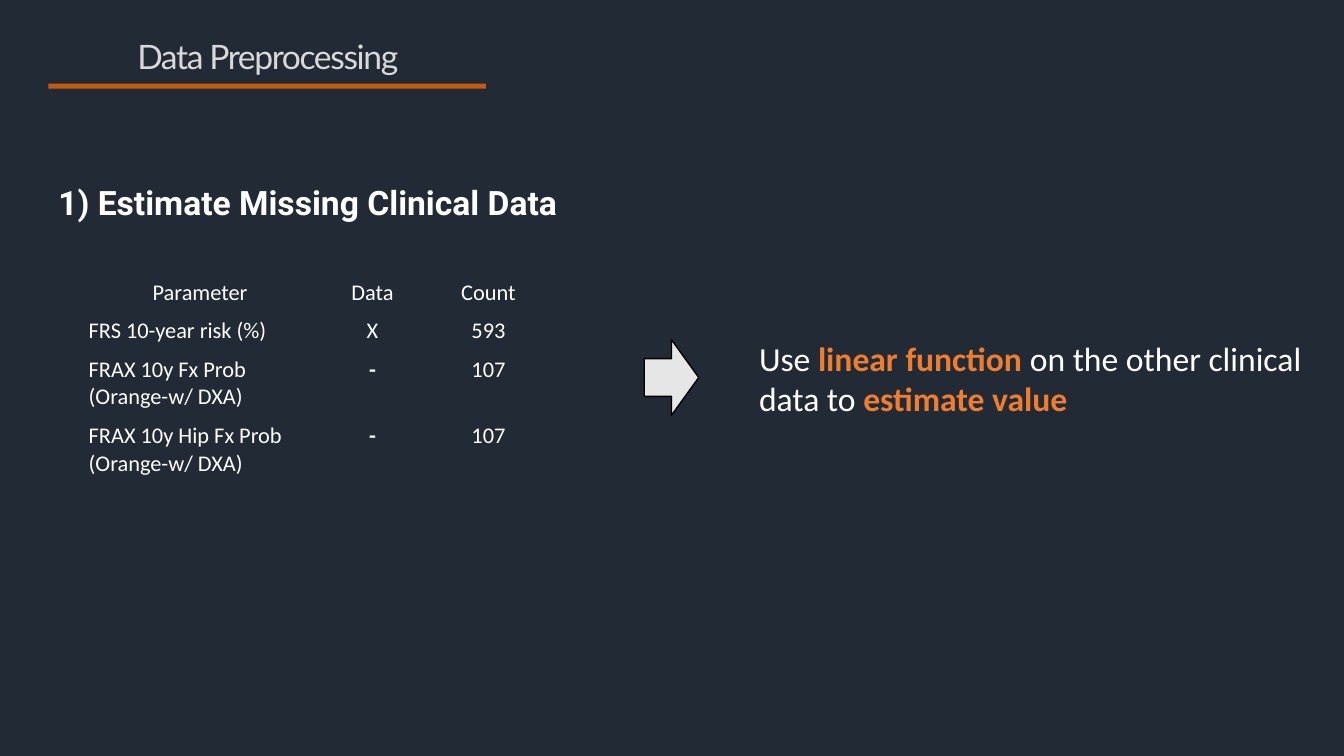
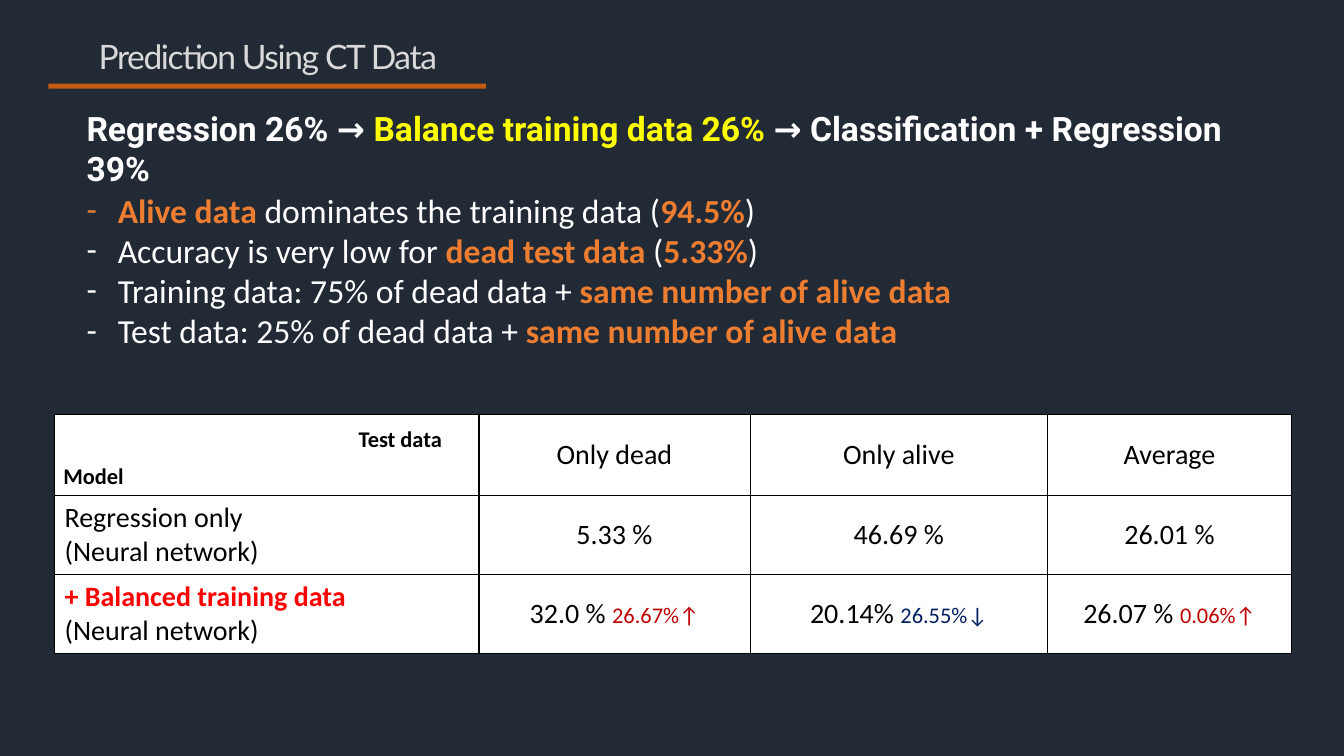
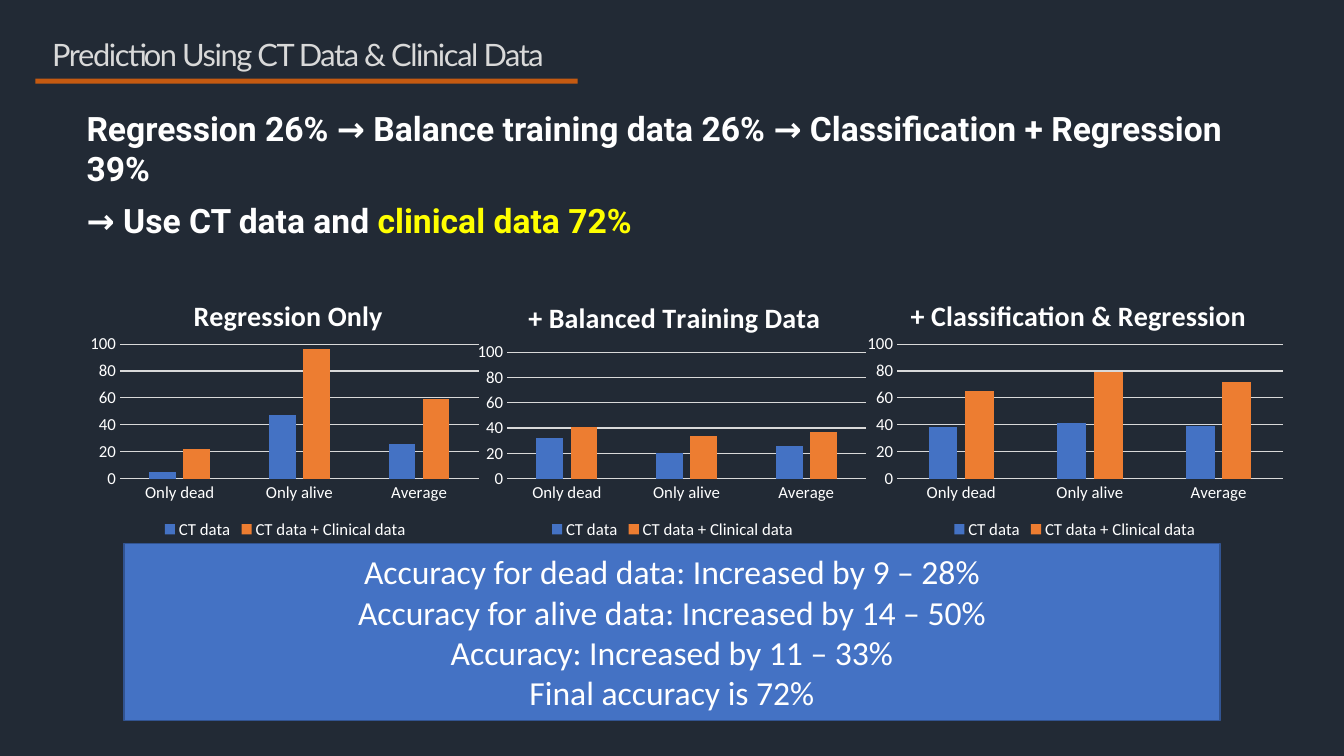
"""Build three slides on data preprocessing and prediction accuracy."""
from dataclasses import dataclass, replace
from typing import Any, Union

from lxml import etree
from pptx import Presentation
from pptx import slide as s
from pptx import util as u
from pptx.chart import data as cd
from pptx.dml.color import RGBColor
from pptx.enum import chart as c
from pptx.enum import shapes, text
from pptx.oxml import ns
from pptx.text import text as t

PX = 9144
WIDTH, HEIGHT = 1333, 750
NAVY = RGBColor(0x22, 0x2A, 0x35)
RUST = RGBColor(0xC5, 0x5A, 0x11)
ORANGE = RGBColor(0xED, 0x7D, 0x31)
BLUE = RGBColor(0x44, 0x72, 0xC4)
BLUE_EDGE = RGBColor(0x32, 0x54, 0x91)
LIGHT = RGBColor(0xD9, 0xD9, 0xD9)
PALE = RGBColor(0xE7, 0xE6, 0xE6)
WHITE = RGBColor(0xFF, 0xFF, 0xFF)
BLACK = RGBColor(0x00, 0x00, 0x00)
YELLOW = RGBColor(0xFF, 0xFF, 0x00)
RED = RGBColor(0xFF, 0x00, 0x00)
RISE = RGBColor(0xC0, 0x00, 0x00)
FALL = RGBColor(0x00, 0x20, 0x60)
LEFT, CENTER = text.PP_ALIGN.LEFT, text.PP_ALIGN.CENTER
TOP, MIDDLE = text.MSO_ANCHOR.TOP, text.MSO_ANCHOR.MIDDLE
NO_TABLE_STYLE = "{2D5ABB26-0587-4C30-8999-92F81FD0307C}"


@dataclass(frozen=True)
class Span:
    text: str
    color: RGBColor | None = None
    bold: bool | None = None
    size: int | None = None


Line = Union[str, tuple[Span, ...]]
Lines = tuple[Line, ...]


@dataclass(frozen=True)
class Style:
    font: str = "Calibri"
    size: int = 24
    color: RGBColor = WHITE
    bold: bool = False
    align: text.PP_ALIGN = LEFT
    anchor: text.MSO_ANCHOR = TOP
    line_spacing: float = 1.0
    tracking: int = 0
    dash_indent: int = 0


@dataclass(frozen=True)
class Box:
    left: int
    top: int
    width: int
    height: int

    def emu(self) -> tuple[int, ...]:
        return tuple(PX * n for n in (self.left, self.top, self.width, self.height))


@dataclass(frozen=True)
class Heading:
    text: str
    box: Box
    band: Box
    size: int = 24


@dataclass(frozen=True)
class Accuracy:
    title: str
    box: Box
    ct: tuple[int, ...]
    combined: tuple[int, ...]
    title_left: float
    title_top: float
    plot_top: float


TITLE = Style("Lato", 24, LIGHT, align=CENTER, anchor=MIDDLE, line_spacing=0.9, tracking=-100)
BODY = Style("Roboto", bold=True, anchor=MIDDLE)
PLAIN = Style()
DASHED = Style(dash_indent=31)
BANNER = Style(align=CENTER, anchor=MIDDLE)
CLINICAL_CELL = Style(size=16)
RESULT_CELL = Style(size=20, color=BLACK, anchor=MIDDLE)
CORNER = Style(size=16, color=BLACK, bold=True)

TITLE_BOX = Box(0, 31, 531, 54)
TITLE_BAND = Box(48, 83, 434, 5)
SUMMARY_BOX = Box(76, 111, 1181, 72)


def apply(target: Any, values: dict[str, Any]) -> None:
    for name, value in values.items():
        setattr(target, name, value)


def accent(words: str) -> Span:
    return Span(words, ORANGE, True)


def write(frame: t.TextFrame, lines: Lines, style: Style) -> None:
    for index, line in enumerate(lines):
        paragraph = frame.add_paragraph() if index else frame.paragraphs[0]
        apply(paragraph, {"alignment": style.align, "line_spacing": style.line_spacing})
        if style.dash_indent:
            properties = paragraph._p.get_or_add_pPr()
            properties.set("marL", str(style.dash_indent * PX))
            properties.set("indent", str(-style.dash_indent * PX))
            etree.SubElement(properties, ns.qn("a:buFont"), typeface=style.font)
            etree.SubElement(properties, ns.qn("a:buChar"), char="-")
        for span in (Span(line),) if isinstance(line, str) else line:
            run = paragraph.add_run()
            run.text = span.text
            apply(run.font, {
                "name": style.font,
                "size": u.Pt(span.size or style.size),
                "bold": style.bold if span.bold is None else span.bold,
            })
            run.font.color.rgb = span.color or style.color
            if style.tracking:
                run.font._element.set("spc", str(style.tracking))


def add_text(slide: s.Slide, box: Box, lines: Lines, style: Style) -> None:
    frame = slide.shapes.add_textbox(*box.emu()).text_frame
    apply(frame, {"word_wrap": True, "vertical_anchor": style.anchor})
    write(frame, lines, style)


def add_block(slide: s.Slide, kind: shapes.MSO_SHAPE, box: Box, fill: RGBColor,
              edge: RGBColor | None = None, lines: Lines = (), style: Style = BANNER) -> None:
    shape = slide.shapes.add_shape(kind, *box.emu())
    shape.shadow.inherit = False
    shape.fill.solid()
    shape.fill.fore_color.rgb = fill
    if edge is None:
        shape.line.fill.background()
    else:
        shape.line.color.rgb = edge
        shape.line.width = u.Pt(1)
    shape.text_frame.vertical_anchor = style.anchor
    write(shape.text_frame, lines, style)


def add_slide(presentation: Any, heading: Heading) -> s.Slide:
    slide = presentation.slides.add_slide(presentation.slide_layouts[6])
    add_text(slide, heading.box, (heading.text,), replace(TITLE, size=heading.size))
    add_block(slide, shapes.MSO_SHAPE.RECTANGLE, heading.band, RUST)
    return slide


def add_borders(cell: Any) -> None:
    properties = cell._tc.get_or_add_tcPr()
    for side in "LRTB":
        line = etree.SubElement(properties, ns.qn(f"a:ln{side}"), w=str(u.Pt(1)))
        fill = etree.SubElement(line, ns.qn("a:solidFill"))
        etree.SubElement(fill, ns.qn("a:srgbClr"), val=str(BLACK))


def add_table(slide: s.Slide, left: int, top: int, columns: tuple[int, ...],
              heights: tuple[int, ...], rows: tuple[tuple[Lines, ...], ...],
              style: Style, fill: RGBColor | None = None) -> None:
    box = Box(left, top, sum(columns), sum(heights))
    table = slide.shapes.add_table(len(rows), len(columns), *box.emu()).table
    apply(table, {"first_row": False, "horz_banding": False})
    table._tbl.tblPr.find(ns.qn("a:tableStyleId")).text = NO_TABLE_STYLE
    for column, width in zip(table.columns, columns):
        column.width = width * PX
    for row, height in zip(table.rows, heights):
        row.height = height * PX
    for row_index, row in enumerate(rows):
        for column_index, lines in enumerate(row):
            cell = table.cell(row_index, column_index)
            cell.vertical_anchor = style.anchor
            if fill is None:
                cell.fill.background()
            else:
                add_borders(cell)
                cell.fill.solid()
                cell.fill.fore_color.rgb = fill
            align = CENTER if column_index or not row_index else LEFT
            write(cell.text_frame, lines, replace(style, align=align))


def place(element: Any, index: int, values: dict[str, Any]) -> None:
    for old in element.findall(ns.qn("c:layout")):
        element.remove(old)
    layout = etree.Element(ns.qn("c:layout"))
    manual = etree.SubElement(layout, ns.qn("c:manualLayout"))
    for name, value in values.items():
        etree.SubElement(manual, ns.qn(f"c:{name}"), val=str(value))
    element.insert(index, layout)


def add_accuracy_chart(slide: s.Slide, accuracy: Accuracy) -> None:
    data = cd.CategoryChartData()
    data.categories = ("Only dead", "Only alive", "Average")
    data.add_series("CT data", accuracy.ct)
    data.add_series("CT data + Clinical data", accuracy.combined)
    chart = slide.shapes.add_chart(
        c.XL_CHART_TYPE.COLUMN_CLUSTERED, *accuracy.box.emu(), data).chart
    apply(chart.font, {"name": "Calibri", "size": u.Pt(12)})
    chart.font.color.rgb = WHITE
    chart.has_title = True
    write(chart.chart_title.text_frame, (accuracy.title,), Style(size=20, bold=True, align=CENTER))
    edge = {"xMode": "edge", "yMode": "edge"}
    place(chart.chart_title._element, 1,
          edge | {"x": accuracy.title_left, "y": accuracy.title_top})
    place(chart._chartSpace.chart.plotArea, 0, {"layoutTarget": "inner"} | edge | {
        "x": 0.09, "y": accuracy.plot_top, "w": 0.89, "h": round(0.76 - accuracy.plot_top, 2)})
    chart.has_legend = True
    apply(chart.legend, {"position": c.XL_LEGEND_POSITION.BOTTOM, "include_in_layout": False})
    plot = chart.plots[0]
    apply(plot, {"gap_width": 219, "overlap": -27, "vary_by_categories": False})
    for series, color in zip(plot.series, (BLUE, ORANGE)):
        series.format.fill.solid()
        series.format.fill.fore_color.rgb = color
    for axis in (chart.category_axis, chart.value_axis):
        apply(axis, {"major_tick_mark": c.XL_TICK_MARK.NONE, "minor_tick_mark": c.XL_TICK_MARK.NONE})
    values = chart.value_axis
    apply(values, {"minimum_scale": 0, "maximum_scale": 100, "major_unit": 20,
                   "has_major_gridlines": True})
    values.format.line.fill.background()
    for line in (values.major_gridlines.format.line, chart.category_axis.format.line):
        line.color.rgb = LIGHT
        line.width = u.Pt(0.75)


def build_preprocessing(presentation: Any) -> None:
    slide = add_slide(presentation, Heading("Data Preprocessing", TITLE_BOX, TITLE_BAND))
    add_text(slide, Box(48, 164, 529, 72), ("1) Estimate Missing Clinical Data",), BODY)
    missing = (Span("-", bold=True),)
    rows = (
        (("Parameter",), ("Data",), ("Count",)),
        (("FRS 10-year risk (%)",), ("X",), ("593",)),
        (("FRAX 10y Fx Prob (Orange-w/ DXA)",), (missing,), ("107",)),
        (("FRAX 10y Hip Fx Prob (Orange-w/ DXA)",), (missing,), ("107",)),
    )
    add_table(slide, 78, 272, (241, 101, 129), (38, 38, 66, 60), rows, CLINICAL_CELL)
    estimate = (Span("Use "), accent("linear function"),
                Span(" on the other clinical data to "), accent("estimate value"))
    add_text(slide, Box(743, 330, 590, 91), (estimate,), PLAIN)
    add_block(slide, shapes.MSO_SHAPE.RIGHT_ARROW, Box(639, 337, 54, 75), PALE, BLACK)


def build_ct_prediction(presentation: Any) -> None:
    slide = add_slide(presentation, Heading("Prediction Using CT Data", TITLE_BOX, TITLE_BAND))
    same_number = accent("same number of alive data")
    findings = (
        (accent("Alive data"), Span(" dominates the training data ("), accent("94.5%"), Span(")")),
        (Span("Accuracy is very low for "), accent("dead test data"), Span(" ("),
         accent("5.33%"), Span(")")),
        (Span("Training data: 75% of dead data + "), same_number),
        (Span("Test data: 25% of dead data + "), same_number),
    )
    add_text(slide, Box(76, 183, 1181, 172), findings, DASHED)
    summary = (Span("Regression 26% → "), Span("Balance training data 26% ", YELLOW),
               Span("→ Classification + Regression 39%"))
    add_text(slide, SUMMARY_BOX, (summary,), BODY)
    network = "(Neural network)"
    balanced = (Span("+ Balanced training data", RED, True),)
    changes = (("32.0 % ", "26.67%↑", RISE), ("20.14% ", "26.55%↓", FALL),
               ("26.07 % ", "0.06%↑", RISE))
    rows = (
        ((), ("Only dead",), ("Only alive",), ("Average",)),
        (("Regression only", network), ("5.33 %",), ("46.69 %",), ("26.01 %",)),
        ((balanced, network),
         *(((Span(value), Span(change, color, size=16)),) for value, change, color in changes)),
    )
    add_table(slide, 54, 411, (421, 269, 295, 242), (81, 78, 78), rows, RESULT_CELL, WHITE)
    add_text(slide, Box(346, 417, 136, 37), ("Test data",), CORNER)
    add_text(slide, Box(53, 454, 99, 37), ("Model",), CORNER)


def build_combined_prediction(presentation: Any) -> None:
    slide = add_slide(presentation, Heading(
        "Prediction Using CT Data & Clinical Data", Box(0, 29, 591, 54), Box(35, 78, 538, 5), 22))
    add_text(slide, SUMMARY_BOX, (
        "Regression 26% → Balance training data 26% → Classification + Regression 39%",), BODY)
    add_text(slide, replace(SUMMARY_BOX, top=182), (
        (Span("→ Use CT data and "), Span("clinical data 72%", YELLOW)),), BODY)
    for accuracy in (
        Accuracy("Regression Only", Box(83, 272, 400, 267),
                 (5, 47, 26), (22, 96, 59), 0.26, 0.06, 0.26),
        Accuracy("+ Balanced Training Data", Box(467, 272, 400, 267),
                 (32, 20, 26), (41, 34, 37), 0.13, 0.07, 0.29),
        Accuracy("+ Classification & Regression", Box(851, 272, 430, 267),
                 (38, 41, 39), (65, 79, 72), 0.11, 0.06, 0.26),
    ):
        add_accuracy_chart(slide, accuracy)
    add_block(slide, shapes.MSO_SHAPE.RECTANGLE, Box(123, 539, 1087, 176), BLUE, BLUE_EDGE, (
        "Accuracy for dead data: Increased by 9 – 28%",
        "Accuracy for alive data: Increased by 14 – 50%",
        "Accuracy: Increased by 11 – 33%",
        "Final accuracy is 72%",
    ))


def main() -> None:
    presentation = Presentation()
    apply(presentation, {"slide_width": WIDTH * PX, "slide_height": HEIGHT * PX})
    background = presentation.slide_master.background.fill
    background.solid()
    background.fore_color.rgb = NAVY
    for build in (build_preprocessing, build_ct_prediction, build_combined_prediction):
        build(presentation)
    presentation.save("out.pptx")


if __name__ == "__main__":
    main()
